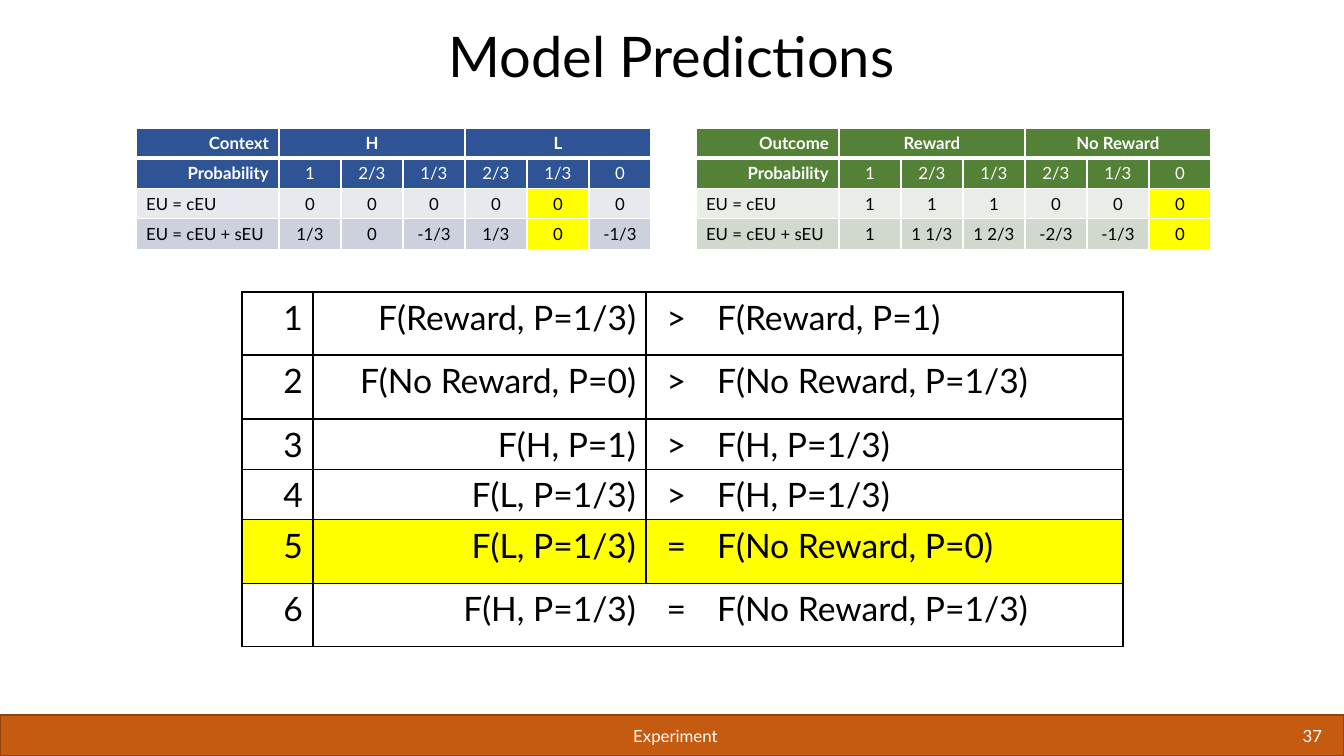
"""Build the Model Predictions slide with its three tables."""
from lxml.etree import SubElement
from pptx import Presentation
from pptx.dml.color import RGBColor
from pptx.enum.shapes import MSO_SHAPE
from pptx.enum.text import MSO_ANCHOR, PP_ALIGN
from pptx.oxml.ns import qn
from pptx.util import Pt

PX = 9071
FONT = "Lato"
BLACK = RGBColor(0x00, 0x00, 0x00)
WHITE = RGBColor(0xFF, 0xFF, 0xFF)
YELLOW = RGBColor(0xFF, 0xFF, 0x00)
ORANGE = RGBColor(0xC5, 0x5A, 0x11)
BROWN = RGBColor(0x92, 0x43, 0x0D)
BLUE = RGBColor(0x2F, 0x54, 0x96)
BLUES = [RGBColor(0xE8, 0xE9, 0xEF), RGBColor(0xCD, 0xD1, 0xDD)]
GREEN = RGBColor(0x53, 0x81, 0x35)
GREENS = [RGBColor(0xE9, 0xED, 0xE8), RGBColor(0xD1, 0xD8, 0xCE)]
LEFT, MID, RIGHT = PP_ALIGN.LEFT, PP_ALIGN.CENTER, PP_ALIGN.RIGHT


def write(frame, text, size, color, align, bold=False):
    para = frame.paragraphs[0]
    para.alignment = align
    run = para.add_run()
    run.text = text
    run.font.name = FONT
    run.font.size = Pt(size)
    run.font.bold = bold
    run.font.color.rgb = color


def edge(cell, color, widths):
    props = cell._tc.get_or_add_tcPr()
    for side, width in zip("LRTB", widths):
        line = SubElement(props, qn(f"a:ln{side}"), w=str(Pt(width)))
        if width:
            fill = SubElement(line, qn("a:solidFill"))
            SubElement(fill, qn("a:srgbClr"), val=str(color))
        else:
            SubElement(line, qn("a:noFill"))


deck = Presentation()
deck.slide_width, deck.slide_height = 1344 * PX, 756 * PX
slide = deck.slides.add_slide(deck.slide_layouts[5])
shapes = slide.shapes

band = shapes.add_shape(MSO_SHAPE.RECTANGLE, 0, 715 * PX, 1344 * PX, 41 * PX)
band.shadow.inherit = False
band.fill.solid()
band.fill.fore_color.rgb = ORANGE
band.line.color.rgb = BROWN
band.line.width = Pt(1)

title = shapes.title
title.left, title.top, title.width, title.height = 66 * PX, 23 * PX, 1211 * PX, 72 * PX
title.text_frame.vertical_anchor = MSO_ANCHOR.BOTTOM
write(title.text_frame, "Model Predictions", 40, BLACK, MID)
title.text_frame.paragraphs[0].line_spacing = 0.9

for left, width, text, align in [(226, 899, "Experiment", MID), (1124, 208, "37", RIGHT)]:
    foot = shapes.add_textbox(left * PX, 715 * PX, width * PX, 41 * PX).text_frame
    foot.word_wrap = True
    foot.vertical_anchor = MSO_ANCHOR.MIDDLE
    write(foot, text, 12, WHITE, align)

rules = [
    ("F(Reward, P=1/3)", ">", "F(Reward, P=1)"),
    ("F(No Reward, P=0)", ">", "F(No Reward, P=1/3)"),
    ("F(H, P=1)", ">", "F(H, P=1/3)"),
    ("F(L, P=1/3)", ">", "F(H, P=1/3)"),
    ("F(L, P=1/3)", "=", "F(No Reward, P=0)"),
    ("F(H, P=1/3)", "=", "F(No Reward, P=1/3)"),
]
table = shapes.add_table(6, 4, 242 * PX, 292 * PX, 881 * PX, 354 * PX).table
table.first_row = table.horz_banding = False
for col, width in zip(table.columns, [71, 333, 61, 416]):
    col.width = width * PX
for row, height in zip(table.rows, [63, 64, 50, 50, 64, 63]):
    row.height = height * PX
for i, rule in enumerate(rules):
    split = int(i < 5)
    sides = [(1, 1), (1, split), (split, 0), (0, 1)]
    for j, text in enumerate((str(i + 1), *rule)):
        cell = table.cell(i, j)
        edge(cell, BLACK, (*sides[j], 1, 1))
        if i == 4:
            cell.fill.solid()
            cell.fill.fore_color.rgb = YELLOW
        else:
            cell.fill.background()
        write(cell.text_frame, text, 24, BLACK, [RIGHT, RIGHT, MID, LEFT][j])

odds = ["Probability", "1", "2/3", "1/3", "2/3", "1/3", "0"]
grids = [
    (136, BLUE, BLUES, 5, [
        ["Context", "H", "", "", "L", "", ""],
        odds,
        ["EU = cEU", "0", "0", "0", "0", "0", "0"],
        ["EU = cEU + sEU", "1/3", "0", "-1/3", "1/3", "0", "-1/3"],
    ]),
    (696, GREEN, GREENS, 6, [
        ["Outcome", "Reward", "", "", "No Reward", "", ""],
        odds,
        ["EU = cEU", "1", "1", "1", "0", "0", "0"],
        ["EU = cEU + sEU", "1", "1 1/3", "1 2/3", "-2/3", "-1/3", "0"],
    ]),
]
for left, dark, tints, mark, rows in grids:
    table = shapes.add_table(4, 7, left * PX, 128 * PX, 513 * PX, 120 * PX).table
    table.first_row = table.horz_banding = False
    for j, col in enumerate(table.columns):
        col.width = (62 if j else 143) * PX
    for row in table.rows:
        row.height = 30 * PX
    for j in (1, 4):
        table.cell(0, j).merge(table.cell(0, j + 2))
    for i, row in enumerate(rows):
        head = i < 2
        for j, text in enumerate(row):
            cell = table.cell(i, j)
            edge(cell, WHITE, (1, 1, 3 if i == 1 else 1, 1 if i else 3))
            cell.fill.solid()
            shade = dark if head else YELLOW if j == mark else tints[i - 2]
            cell.fill.fore_color.rgb = shade
            if text:
                align = MID if j else RIGHT if head else LEFT
                bold = i == 0 or (head and j == 0)
                write(cell.text_frame, text, 12, WHITE if head else BLACK, align, bold)

deck.save("out.pptx")
